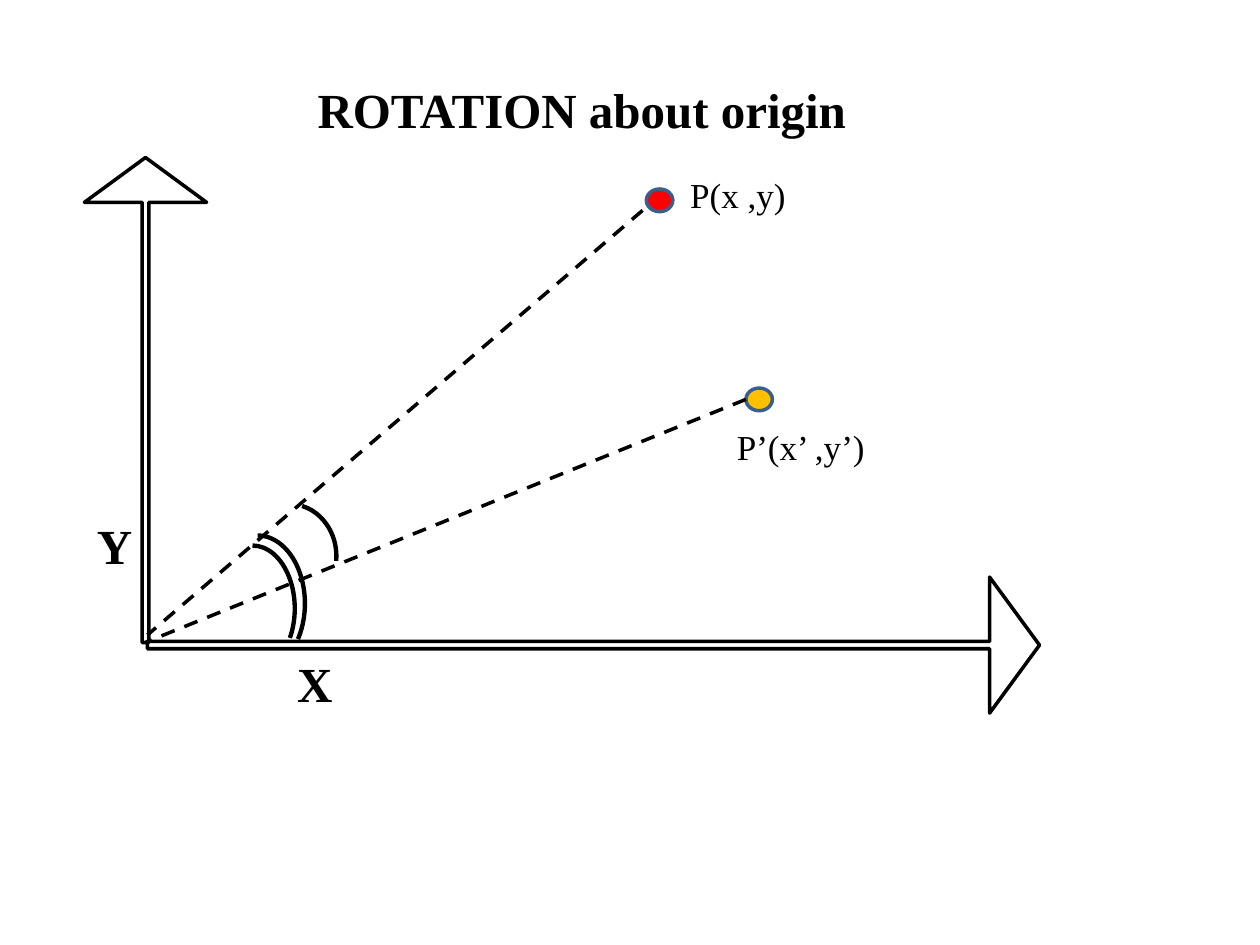
from pptx import Presentation
from pptx.dml.color import RGBColor
from pptx.enum.dml import MSO_LINE
from pptx.enum.shapes import MSO_CONNECTOR, MSO_SHAPE
from pptx.enum.text import MSO_ANCHOR, PP_ALIGN
from pptx.oxml.ns import qn
from pptx.util import Inches, Pt
from lxml.etree import SubElement


def color(hex_code):
    return RGBColor.from_string(hex_code)


def write(tf, text, size=20, bold=False, font="Times New Roman", ink="000000"):
    tf.word_wrap = True
    tf.vertical_anchor = MSO_ANCHOR.TOP
    p = tf.paragraphs[0]
    p.alignment = PP_ALIGN.LEFT
    r = p.add_run()
    r.text = text
    r.font.name = font
    r.font.size = Pt(size)
    r.font.bold = bold
    r.font.color.rgb = color(ink)


class Diagram:
    INK = "000000"
    POINT_EDGE = "3A5F8C"
    HEADING = {"size": 28, "bold": True}
    POINT_SIZE = (0.21, 0.18)

    def __init__(self, slide):
        self.slide = slide

    def title(self, text, *box):
        s = self.slide.shapes.title
        s.left, s.top, s.width, s.height = map(Inches, box)
        write(s.text_frame, text, **self.HEADING)

    def label(self, text, *box, **style):
        s = self.slide.shapes.add_textbox(*map(Inches, box))
        write(s.text_frame, text, **style)

    def shape(self, kind, *box, fill=None, line=INK, width=2, adjust=()):
        s = self.slide.shapes.add_shape(kind, *map(Inches, box))
        s.shadow.inherit = False
        if fill:
            s.fill.solid()
            s.fill.fore_color.rgb = color(fill)
        else:
            s.fill.background()
        s.line.color.rgb = color(line)
        s.line.width = Pt(width)
        for i, value in enumerate(adjust):
            s.adjustments[i] = value
        return s

    def axis(self, *box, rotation=0):
        s = self.shape(MSO_SHAPE.UP_ARROW, *box, adjust=(0.054, 0.367))
        s.rotation = rotation

    def point(self, left, top, fill):
        self.shape(MSO_SHAPE.OVAL, left, top, *self.POINT_SIZE,
                   fill=fill, line=self.POINT_EDGE)

    def angle(self, *box, start, end):
        """Arc between two angles in degrees, clockwise from the right."""
        # Adjustments count 60000ths of a degree, scaled down by 100000.
        self.shape(MSO_SHAPE.ARC, *box, width=2.5,
                   adjust=(start * 0.6, end * 0.6))

    def ray(self, *ends):
        s = self.slide.shapes.add_connector(MSO_CONNECTOR.STRAIGHT,
                                            *map(Inches, ends))
        s.line.color.rgb = color(self.INK)
        s.line.width = Pt(2)
        s.line.dash_style = MSO_LINE.DASH
        SubElement(s._element.spPr, qn("a:effectLst"))


def main():
    prs = Presentation()
    prs.slide_width, prs.slide_height = Inches(10), Inches(7.5)
    d = Diagram(prs.slides.add_slide(prs.slide_layouts[5]))

    d.title("ROTATION about origin", 2.42, 0.58, 5.17, 0.57)

    d.axis(0.67, 1.25, 0.97, 3.85)
    d.axis(4.17, 1.58, 1.08, 7.08, rotation=90)
    d.point(5.13, 1.5, "FF0000")
    d.point(5.92, 3.08, "FFC000")

    d.label("X", 2.26, 5.14, 0.42, 0.57, **d.HEADING)
    d.label("Y", 0.67, 4.04, 0.42, 0.57, **d.HEADING)
    d.label("P’(x’ ,y’)", 5.75, 3.33, 1.94, 0.44)
    d.label("P(x ,y)", 5.38, 1.33, 1.46, 0.44)

    d.ray(5.1, 1.67, 1.17, 5.04)
    d.ray(5.92, 3.17, 1.15, 5.1)

    d.angle(1.92, 4, 0.75, 0.83, start=284.56, end=5.71)
    d.angle(1.67, 4.33, 0.67, 1, start=270, end=38.2)
    d.angle(1.67, 4.25, 0.75, 1.08, start=270, end=41.41)

    prs.save("out.pptx")


if __name__ == "__main__":
    main()
